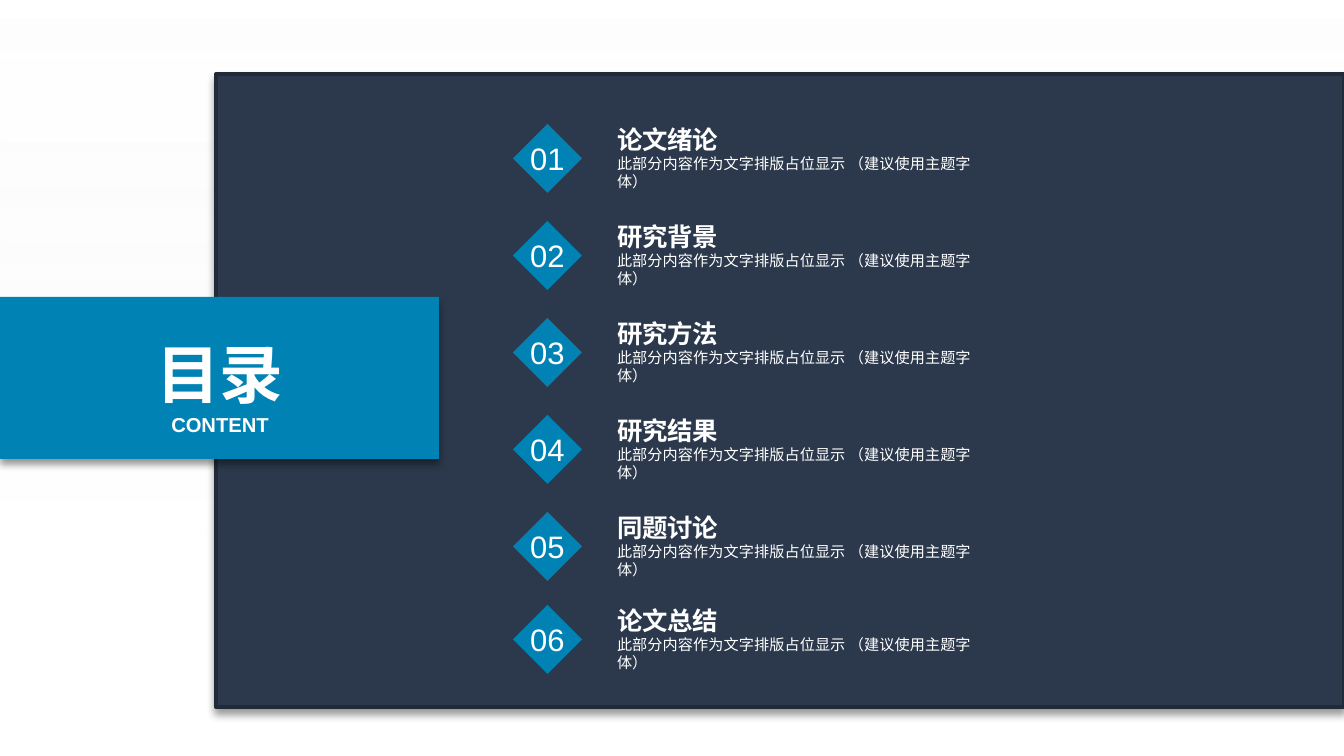
from lxml import etree
from pptx import Presentation
from pptx import util as u
from pptx.dml.color import RGBColor
from pptx.enum import shapes, text
from pptx.oxml import parse_xml
from pptx.oxml.ns import nsdecls, qn

EMU_PER_PX = 914400 / 134.4
WIDTH, HEIGHT = 1344, 756

WHITE = RGBColor(0xFF, 0xFF, 0xFF)
PALE_GREY = RGBColor(0xF2, 0xF2, 0xF2)
NAVY = RGBColor(0x2C, 0x39, 0x4C)
DARK_NAVY = RGBColor(0x21, 0x2A, 0x38)
BLUE = RGBColor(0x00, 0x83, 0xB4)

SECTIONS = ["论文绪论", "研究背景", "研究方法", "研究结果", "同题讨论", "论文总结"]
DESCRIPTION = "此部分内容作为文字排版占位显示 （建议使用主题字体）"
FIRST_TOP, STEP, LAST_TOP = 124, 97, 605

CENTER = text.PP_ALIGN.CENTER
MIDDLE = text.MSO_ANCHOR.MIDDLE


def px(*lengths):
    return [u.Emu(round(length * EMU_PER_PX)) for length in lengths]


def write(box, words, size, bold=False, align=text.PP_ALIGN.LEFT,
          anchor=text.MSO_ANCHOR.TOP, insets=(13, 7, 13, 7), wrap=True):
    """Fill a shape with one formatted paragraph; insets are left, top, right, bottom."""
    frame = box.text_frame
    frame.auto_size = text.MSO_AUTO_SIZE.NONE
    frame.word_wrap = wrap
    frame.vertical_anchor = anchor
    (frame.margin_left, frame.margin_top,
     frame.margin_right, frame.margin_bottom) = px(*insets)
    para = frame.paragraphs[0]
    para.alignment = align
    span = para.add_run()
    span.text = words
    span.font.name = "Arial"
    span.font.size = u.Pt(size)
    span.font.bold = bold
    span.font.color.rgb = WHITE


def add_block(parent, kind, bounds, color):
    block = parent.shapes.add_shape(kind, *px(*bounds))
    block.shadow.inherit = False
    block.fill.solid()
    block.fill.fore_color.rgb = color
    block.line.fill.background()
    return block


def add_text(parent, bounds, words, size, **style):
    write(parent.shapes.add_textbox(*px(*bounds)), words, size, **style)


def drop_shadow(block):
    """Cast a soft shadow straight down."""
    effects = block.element.spPr.find(qn("a:effectLst"))
    effects.append(parse_xml(
        f'<a:outerShdw {nsdecls("a")} blurRad="{u.Pt(4)}" dist="{u.Pt(3)}" '
        'dir="5400000" algn="t" rotWithShape="0">'
        '<a:srgbClr val="000000"><a:alpha val="40000"/></a:srgbClr></a:outerShdw>'))


def add_backdrop(page):
    """Cover the page with a faint vertical gradient."""
    backdrop = add_block(page, shapes.MSO_SHAPE.RECTANGLE, (0, 0, WIDTH, HEIGHT), WHITE)
    backdrop.fill.gradient()
    backdrop.fill.gradient_angle = 270
    stops = backdrop.fill.gradient_stops
    for stop, position, color in zip(stops, (0, 0.71), (WHITE, PALE_GREY)):
        stop.position = position
        stop.color.rgb = color
    colors = backdrop.element.spPr.iter(qn("a:srgbClr"))
    for color, opacity in zip(list(colors), (55, 0)):
        etree.SubElement(color, qn("a:alpha")).set("val", str(opacity * 1000))


def add_panel(page):
    panel = add_block(page, shapes.MSO_SHAPE.RECTANGLE, (216, 74, 1128, 633), NAVY)
    panel.line.color.rgb = DARK_NAVY
    panel.line.width = u.Pt(2)
    drop_shadow(panel)


def add_section(page, number, name, top):
    """Add a numbered diamond with a heading and its description."""
    section = page.shapes.add_group_shape()
    diamond = add_block(section, shapes.MSO_SHAPE.DIAMOND, (513, top, 69, 69), BLUE)
    write(diamond, f"{number:02}", 16.6, align=CENTER, anchor=MIDDLE,
          insets=(0, 0, 0, 0), wrap=False)
    indent = (53, 0, 0, 0)
    add_text(section, (564, top + 4, 437, 27), name, 13.6, bold=True,
             anchor=text.MSO_ANCHOR.BOTTOM, insets=indent)
    add_text(section, (564, top + 31, 437, 35), DESCRIPTION, 8.1,
             anchor=MIDDLE, insets=indent)


def add_banner(page):
    banner = add_block(page, shapes.MSO_SHAPE.RECTANGLE, (0, 297, 439, 162), BLUE)
    drop_shadow(banner)
    title = page.shapes.title
    title.left, title.top, title.width, title.height = px(142, 328, 156, 85)
    write(title, "目录", 34.1, bold=True, align=CENTER)
    banner.element.addnext(title.element)
    add_text(page, (142, 405, 156, 34), "CONTENT", 10.8, bold=True, align=CENTER)


def main():
    deck = Presentation()
    deck.slide_width, deck.slide_height = px(WIDTH, HEIGHT)
    page = deck.slides.add_slide(deck.slide_layouts.get_by_name("Title Only"))
    add_backdrop(page)
    add_panel(page)
    for index, name in enumerate(SECTIONS):
        add_section(page, index + 1, name, min(FIRST_TOP + index * STEP, LAST_TOP))
    add_banner(page)
    deck.save("out.pptx")


if __name__ == "__main__":
    main()
